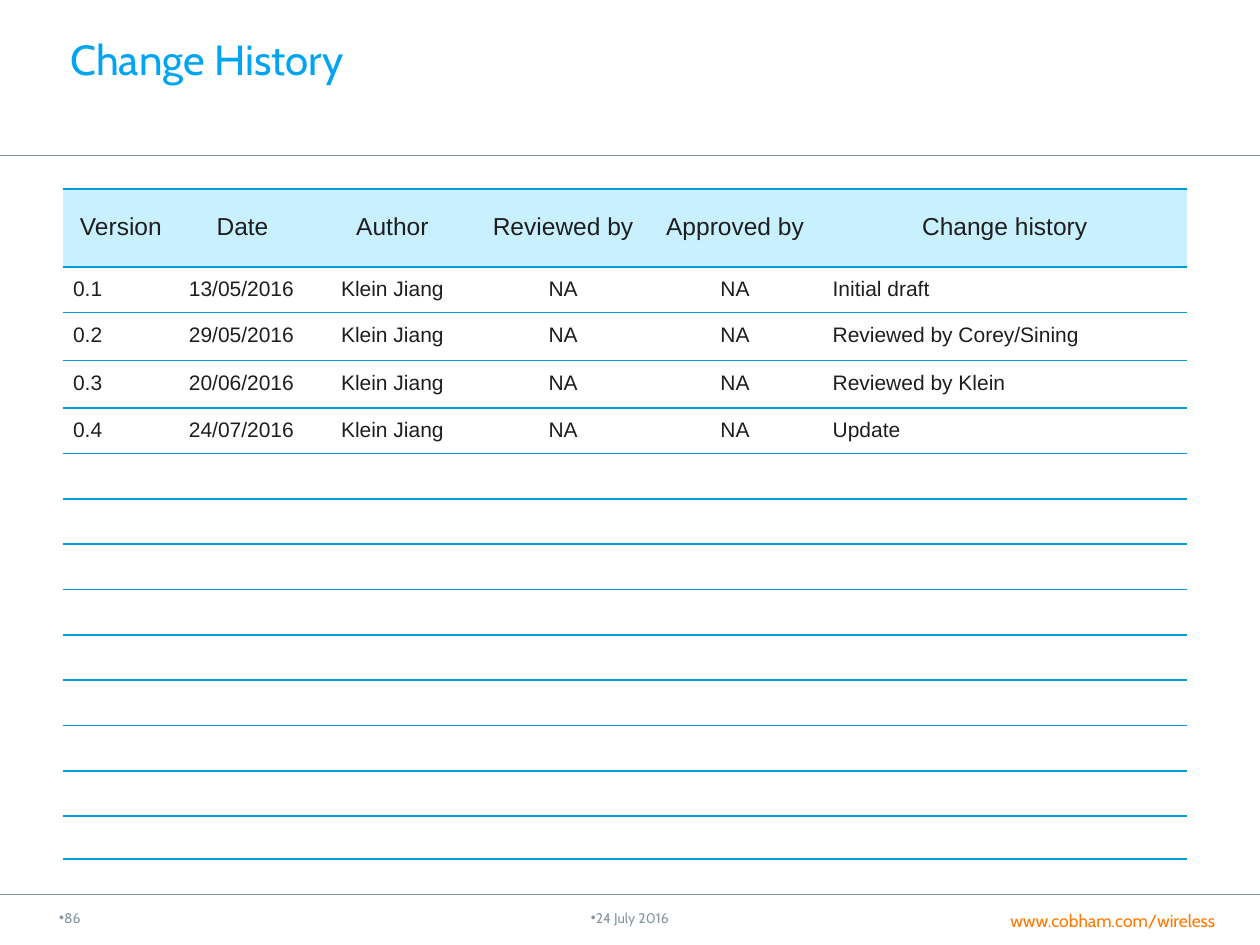
from dataclasses import dataclass

from lxml import etree
from pptx import Presentation
from pptx import util as u
from pptx.dml.color import RGBColor
from pptx.enum import shapes, text
from pptx.oxml.ns import qn


@dataclass(frozen=True)
class Theme:
    blue: str = "00A4F2"
    rule: str = "009FDA"
    header: str = "C9F0FF"
    grey: str = "8996A0"
    orange: str = "FF7900"
    ink: str = "1E1E1E"
    brand_font: str = "Cabin"
    table_font: str = "Arial"
    title: int = 24
    head: int = 14
    body: int = 12
    link: int = 10
    small: int = 8


LEFT, CENTER = text.PP_ALIGN.LEFT, text.PP_ALIGN.CENTER
TOP, MIDDLE = text.MSO_ANCHOR.TOP, text.MSO_ANCHOR.MIDDLE


class SlideBuilder:
    def __init__(self, slide, theme):
        self.s, self.t = slide, theme

    def run(self, p, words, size, color, font):
        r = p.add_run()
        r.text = words
        r.font.size = u.Pt(size)
        r.font.name = font
        r.font.color.rgb = RGBColor.from_string(color)

    def rule(self, x1, x2, y):
        line = self.s.shapes.add_connector(
            shapes.MSO_CONNECTOR.STRAIGHT,
            u.Inches(x1), u.Inches(y), u.Inches(x2), u.Inches(y))
        line.line.color.rgb = RGBColor.from_string(self.t.grey)
        line.line.width = u.Pt(0.5)
        etree.SubElement(line._element.spPr, qn("a:effectLst"))

    def label(self, box, words, size, color, align=LEFT, anchor=TOP,
              wrap=True, inset=0.1, bullet=False):
        sp = self.s.shapes.add_textbox(*map(u.Inches, box))
        tf = sp.text_frame
        tf.word_wrap = wrap
        tf.vertical_anchor = anchor
        tf.margin_left = u.Inches(inset)
        p = tf.paragraphs[0]
        p.alignment = align
        if bullet:
            pPr = p._p.get_or_add_pPr()
            pPr.set("marL", "0")
            pPr.set("indent", "0")
            etree.SubElement(pPr, qn("a:buFont"), typeface=self.t.table_font)
            etree.SubElement(pPr, qn("a:buChar"), char="•")
        self.run(p, words, size, color, self.t.brand_font)

    def borders(self, cell):
        tcPr = cell._tc.get_or_add_tcPr()
        for side in ("lnL", "lnR"):
            ln = etree.SubElement(tcPr, qn(f"a:{side}"), w="0")
            etree.SubElement(ln, qn("a:noFill"))
        for side in ("lnT", "lnB"):
            ln = etree.SubElement(tcPr, qn(f"a:{side}"), w=str(u.Pt(1)))
            fill = etree.SubElement(ln, qn("a:solidFill"))
            etree.SubElement(fill, qn("a:srgbClr"), val=self.t.rule)

    def cell(self, cell, words, is_header, align):
        self.borders(cell)
        if is_header:
            cell.fill.solid()
            cell.fill.fore_color.rgb = RGBColor.from_string(self.t.header)
        else:
            cell.fill.background()
        cell.vertical_anchor = MIDDLE
        cell.margin_left = cell.margin_right = u.Inches(0.08)
        cell.margin_top = cell.margin_bottom = u.Inches(0.04)
        p = cell.text_frame.paragraphs[0]
        p.alignment = align
        p.line_spacing = 0.9
        if words:
            size = self.t.head if is_header else self.t.body
            self.run(p, words, size, self.t.ink, self.t.table_font)
        else:  # keeps empty rows from growing
            etree.SubElement(p._p, qn("a:endParaRPr"), sz=str(self.t.body * 100))

    def table(self, x, y, widths, heights, header, rows, aligns):
        frame = self.s.shapes.add_table(
            len(heights), len(widths), u.Inches(x), u.Inches(y),
            u.Inches(sum(widths)), u.Inches(sum(heights)))
        table = frame.table
        table.first_row = table.horz_banding = False
        for column, width in zip(table.columns, widths):
            column.width = u.Inches(width)
        blanks = [[""] * len(widths)] * (len(heights) - 1 - len(rows))
        for i, values in enumerate([header, *rows, *blanks]):
            table.rows[i].height = u.Inches(heights[i])
            for j, words in enumerate(values):
                self.cell(table.cell(i, j), words, i == 0,
                          CENTER if i == 0 else aligns[j])


def main():
    prs = Presentation()
    prs.slide_width, prs.slide_height = u.Inches(10), u.Inches(7.5)
    theme = Theme()
    s = SlideBuilder(prs.slides.add_slide(prs.slide_layouts[6]), theme)

    # Frame rules and title
    s.rule(0, 10, 7.1)
    s.rule(-0.04, 10.02, 1.23)
    s.label((0.46, 0.22, 6.72, 0.5), "Change History", theme.title, theme.blue)

    # Footer
    s.label((7.92, 7.17, 1.89, 0.27), "www.cobham.com/wireless",
            theme.link, theme.orange, wrap=False)
    s.label((3.62, 7.12, 2.76, 0.33), "24 July 2016", theme.small, theme.grey,
            align=CENTER, anchor=MIDDLE, bullet=True)
    s.label((0.47, 7.12, 0.42, 0.33), "86", theme.small, theme.grey,
            anchor=MIDDLE, inset=0, bullet=True)

    # Change log, with blank rows for later entries
    history = [
        ("0.1", "13/05/2016", "Initial draft"),
        ("0.2", "29/05/2016", "Reviewed by Corey/Sining"),
        ("0.3", "20/06/2016", "Reviewed by Klein"),
        ("0.4", "24/07/2016", "Update"),
    ]
    s.table(
        0.5, 1.5,
        widths=[0.92, 1.01, 1.37, 1.34, 1.39, 2.89],
        heights=[0.62, 0.36, 0.38, 0.38] + [0.36] * 9 + [0.34],
        header=["Version", "Date", "Author", "Reviewed by", "Approved by",
                "Change history"],
        rows=[(version, date, "Klein Jiang", "NA", "NA", change)
              for version, date, change in history],
        aligns=[LEFT, LEFT, CENTER, CENTER, CENTER, LEFT])

    prs.save("out.pptx")


if __name__ == "__main__":
    main()
